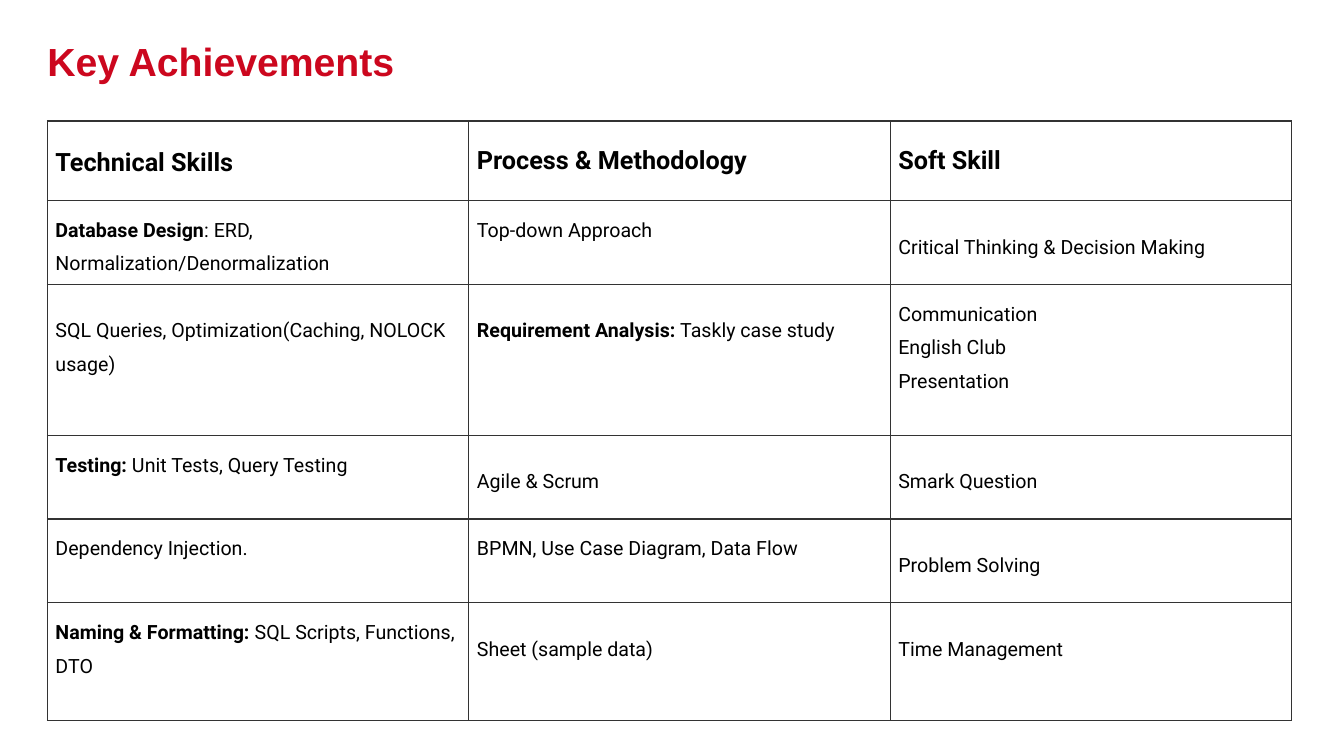
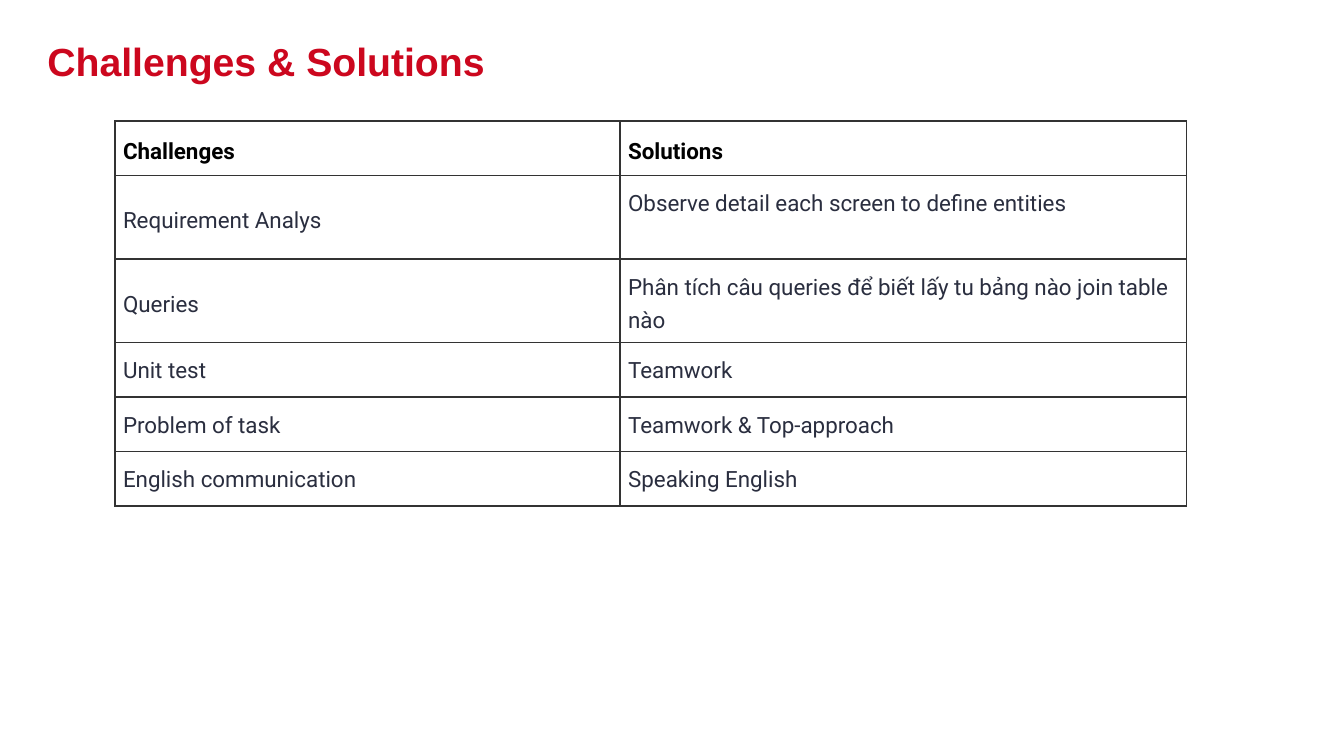
from lxml.etree import SubElement
from pptx import Presentation
from pptx.dml.color import RGBColor
from pptx.enum.text import MSO_ANCHOR, PP_ALIGN
from pptx.oxml import parse_xml
from pptx.oxml.ns import nsdecls
from pptx.util import Inches, Pt

RED, BLACK, SLATE, BORDER, WHITE = "CC071E", "000000", "2A2E3F", "333333", "FFFFFF"
TITLE_FONT, TABLE_FONT = "Arial", "Roboto"
LEFT, TOP, WIDTH = 0.47, 1.2, 10.63
PADDING = 0.08
LINE = 24
HALF_LINE = LINE / 2 / 72

# A bar in a cell ends its bold lead; a line break starts a new paragraph.
SKILLS = [
    ["Technical Skills", "Process & Methodology", "Soft Skill"],
    ["Database Design|: ERD, Normalization/Denormalization", "Top-down Approach",
     "Critical Thinking & Decision Making"],
    ["SQL Queries, Optimization(Caching, NOLOCK usage)",
     "Requirement Analysis:| Taskly case study",
     "Communication\nEnglish Club\nPresentation"],
    ["Testing:| Unit Tests, Query Testing", "Agile & Scrum", "Smark Question"],
    ["Dependency Injection.", "BPMN, Use Case Diagram, Data Flow", "Problem Solving"],
    ["Naming & Formatting:| SQL Scripts, Functions, DTO", "Sheet (sample data)",
     "Time Management"],
]
SKILLS_LOWERED = {(1, 2), (2, 0), (2, 1), (3, 1), (3, 2), (4, 2), (5, 1), (5, 2)}

CHALLENGES = [
    ["Challenges", "Solutions"],
    ["Requirement Analys", "Observe detail each screen to define entities"],
    ["Queries", "Phân tích câu queries để biết lấy tu bảng nào join table nào"],
    ["Unit test", "Teamwork"],
    ["Problem of task", "Teamwork & Top-approach"],
    ["English communication", "Speaking English"],
]
CHALLENGES_LOWERED = {(1, 0), (2, 0)}


def rgb(color):
    return RGBColor.from_string(color)


def style_run(r, font, size, color, bold):
    r.font.name, r.font.size, r.font.bold = font, Pt(size), bold
    r.font.color.rgb = rgb(color)


def prepare_layout(prs):
    """Place the title once, for every slide."""
    layout = prs.slide_layouts[5]
    title = layout.placeholders[0]
    title.left, title.top = Inches(LEFT), 0
    title.width, title.height = Inches(WIDTH), Inches(TOP)
    tf = title.text_frame
    tf.margin_left = tf.margin_right = tf.margin_top = tf.margin_bottom = 0
    tf.vertical_anchor = MSO_ANCHOR.MIDDLE
    return layout


def add_titled_slide(prs, layout, title):
    s = prs.slides.add_slide(layout)
    s.shapes.title.text_frame.text = title
    p = s.shapes.title.text_frame.paragraphs[0]
    p.alignment = PP_ALIGN.LEFT
    style_run(p.runs[0], TITLE_FONT, 28, RED, True)
    return s


def set_borders(cell, color, width):
    tcPr = cell._tc.get_or_add_tcPr()
    for i, side in enumerate(("lnL", "lnR", "lnT", "lnB")):
        ln = parse_xml(f'<a:{side} {nsdecls("a")} w="{Pt(width)}"/>')
        fill = SubElement(ln, ln.tag.replace(side, "solidFill"))
        SubElement(fill, ln.tag.replace(side, "srgbClr"), val=color)
        tcPr.insert(i, ln)


def fill_cell(cell, text, size, color, bold, lowered, spacing):
    cell.fill.solid()
    cell.fill.fore_color.rgb = rgb(WHITE)
    set_borders(cell, BORDER, 1)
    cell.margin_left = cell.margin_right = cell.margin_bottom = Inches(PADDING)
    cell.margin_top = Inches(PADDING + HALF_LINE * lowered)
    cell.vertical_anchor = MSO_ANCHOR.MIDDLE if bold else MSO_ANCHOR.TOP
    tf = cell.text_frame
    tf.text = text.replace("|", "")
    for p, line in zip(tf.paragraphs, text.split("\n")):
        p.line_spacing = spacing
        lead, bar, rest = line.partition("|")
        p.runs[0].text = lead
        style_run(p.runs[0], TABLE_FONT, size, color, bold or bool(bar))
        if rest:
            r = p.add_run()
            r.text = rest
            style_run(r, TABLE_FONT, size, color, bold)


def add_grid(s, left, cols, heights, rows, lowered, head_size, body_size, body_color,
             natural_heads=()):
    """Table whose natural_heads columns keep single line spacing in the header."""
    table = s.shapes.add_table(len(rows), len(cols), Inches(left), Inches(TOP),
                               Inches(sum(cols)), Inches(sum(heights))).table
    table.first_row = table.horz_banding = False
    for column, width in zip(table.columns, cols):
        column.width = Inches(width)
    for i, (row, height) in enumerate(zip(rows, heights)):
        table.rows[i].height = Inches(height)
        head = i == 0
        for j, text in enumerate(row):
            spacing = 1.0 if head and j in natural_heads else Pt(LINE)
            fill_cell(table.cell(i, j), text, head_size if head else body_size,
                      BLACK if head else body_color, head, (i, j) in lowered, spacing)


def main():
    prs = Presentation()
    prs.slide_width, prs.slide_height = Inches(13.33), Inches(7.5)
    layout = prepare_layout(prs)

    s = add_titled_slide(prs, layout, "Key Achievements")
    add_grid(s, LEFT, [4.18, 4.18, 3.98], [0.79, 0.83, 1.5, 0.83, 0.83, 1.17],
             SKILLS, SKILLS_LOWERED, 18, 14, BLACK, natural_heads=(1, 2))

    s = add_titled_slide(prs, layout, "Challenges & Solutions")
    add_grid(s, 1.14, [5.01, 5.62], [0.54, 0.83, 0.83, 0.54, 0.54, 0.54],
             CHALLENGES, CHALLENGES_LOWERED, 16, 16, SLATE)

    prs.save("out.pptx")


if __name__ == "__main__":
    main()
